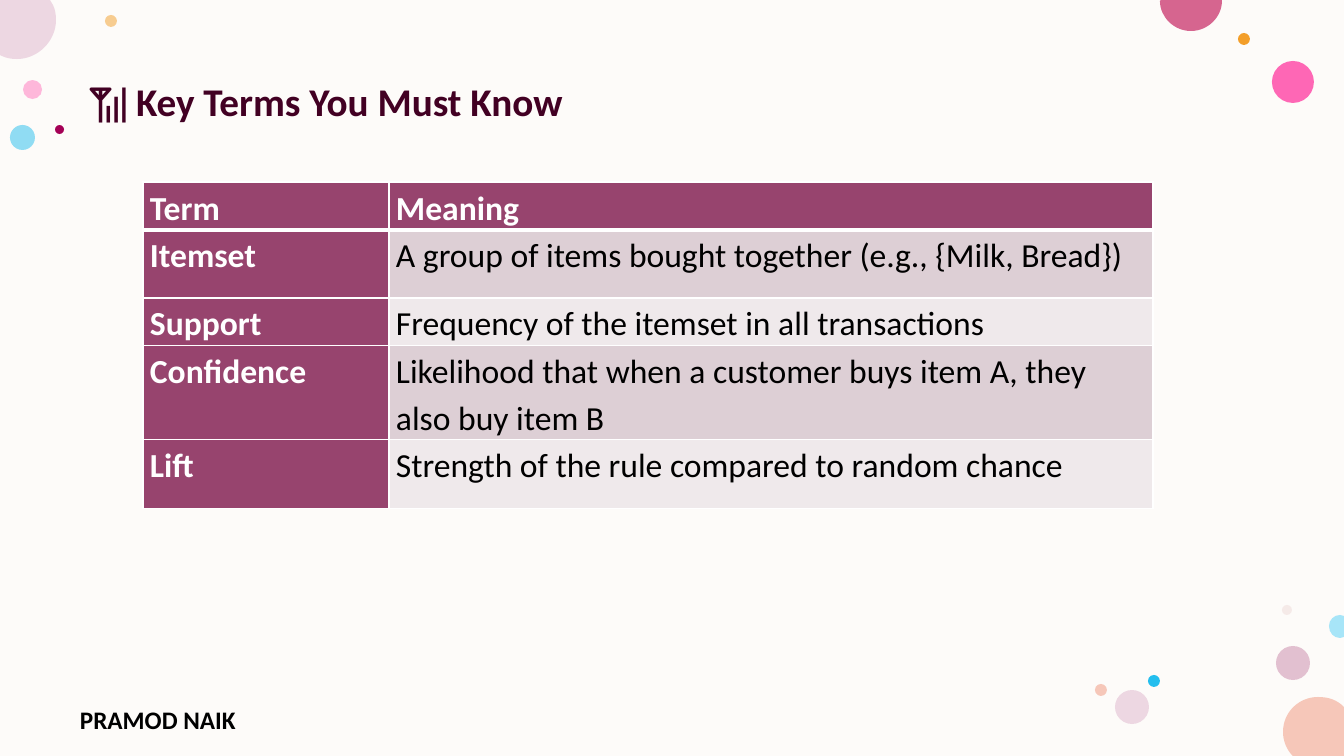
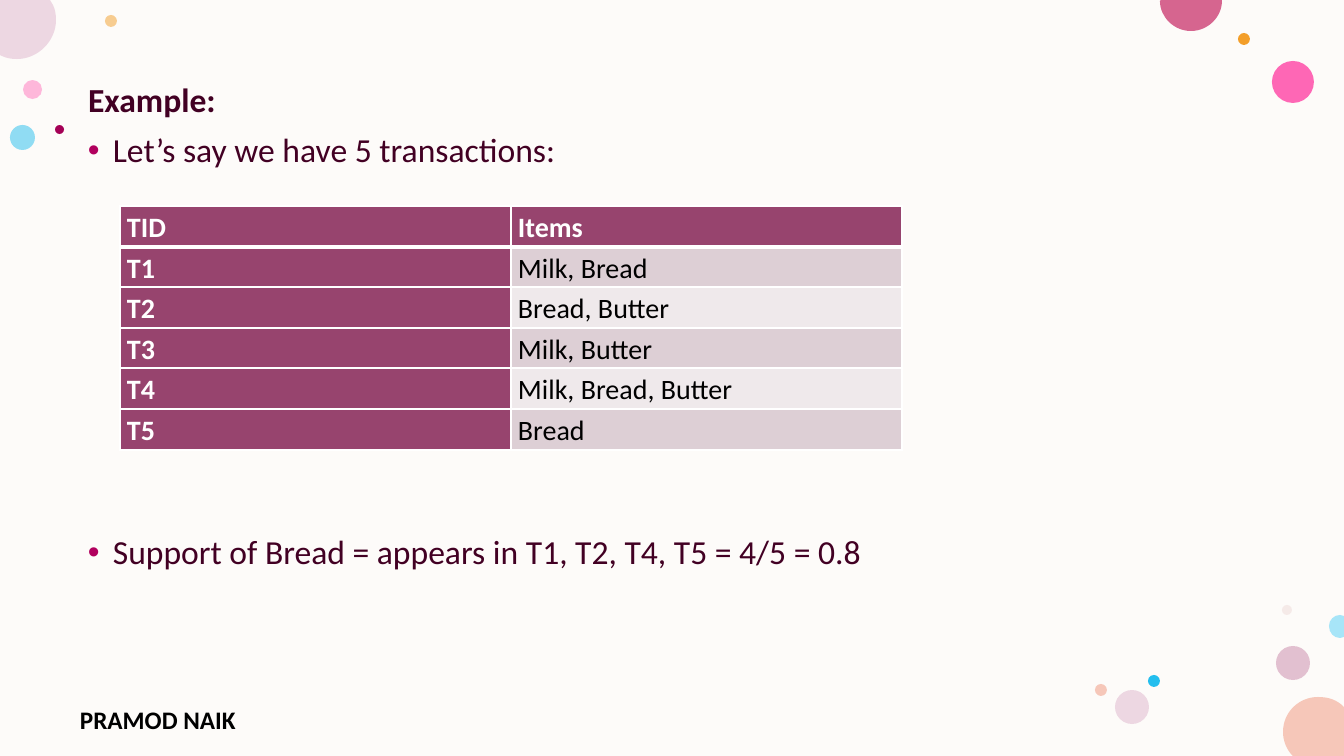
from lxml.etree import SubElement
from pptx import Presentation
from pptx.dml.color import RGBColor
from pptx.enum.shapes import MSO_SHAPE as Preset
from pptx.enum.text import MSO_ANCHOR as Anchor, MSO_AUTO_SIZE as AutoSize, PP_ALIGN as Align
from pptx.oxml.ns import qn
from pptx.util import Pt

SCALE = 914400 / 100.8
WIDTH, HEIGHT = 1344, 756
FONT = "Calibri"
BACKGROUND, WHITE, BLACK = "FDFBF9", "FFFFFF", "000000"
DARK_PLUM, PLUM, BULLET = "420023", "97446E", "B1005E"
BANDS = ["EFE9EB", "DDCFD5"]
hex_color = RGBColor.from_string

CIRCLES = [
    (23, 80, 19, "FF75BD", 50),
    (105, 15, 12, "F39E29", 50),
    (1276, 646, 34, "C987A8", 50),
    (10, 125, 25, "24BEEE", 50),
    (1272, 61, 42, "FF2F9C", 72),
    (1238, 33, 12, "F39E29", 100),
    (1282, 605, 10, "E3BEBE", 28),
    (1148, 675, 12, "24BEEE", 100),
    (1115, 690, 34, "EDD7E2", 100),
    (1095, 684, 12, "F6C7B9", 100),
    (55, 125, 9, "A40056", 100),
]
CUT_CIRCLES = [
    ("F6C7B9", (1318, 697), [
        [(1329, 697), (1337, 700), (1344, 707)],
        [(1344, 756)],
        [(1293, 756)],
        [(1291, 754)],
        [(1286, 748), (1283, 740), (1283, 732)],
        [(1283, 712), (1299, 697), (1318, 697)],
    ]),
    ("EDD7E2", (0, 0), [
        [(50, 0)],
        [(53, 5)],
        [(55, 9), (56, 14), (56, 20)],
        [(56, 41), (38, 59), (17, 59)],
        [(11, 59), (6, 58), (2, 56)],
        [(0, 55)],
    ]),
    ("D6658F", (1161, 0), [
        [(1222, 0)],
        [(1222, 1)],
        [(1222, 17), (1208, 31), (1191, 31)],
        [(1174, 31), (1160, 17), (1160, 1)],
    ]),
    ("A7E5F8", (1340, 615), [
        [(1344, 616)],
        [(1344, 637)],
        [(1340, 638)],
        [(1334, 638), (1329, 633), (1329, 626)],
        [(1329, 620), (1334, 615), (1340, 615)],
    ]),
]
CONTENT = [
    {
        "title": "📶 Key Terms You Must Know",
        "title_size": 28,
        "bullets": [],
        "table_at": (143, 182),
        "columns": [246, 764],
        "row_heights": [48, 68, 47, 94, 69],
        "table_size": 24,
        "rows": [
            ("Term", "Meaning"),
            ("Itemset", "A group of items bought together (e.g., {Milk, Bread})"),
            ("Support", "Frequency of the itemset in all transactions"),
            ("Confidence", "Likelihood that when a customer buys item A, they also buy item B"),
            ("Lift", "Strength of the rule compared to random chance"),
        ],
    },
    {
        "title": "Example:",
        "title_size": 24,
        "bullets": [
            (129, "Let’s say we have 5 transactions:"),
            (531, "Support of Bread = appears in T1, T2, T4, T5 = 4/5 = 0.8"),
        ],
        "table_at": (120, 206),
        "columns": [391, 391],
        "row_heights": [41, 40, 41, 40, 41, 41],
        "table_size": 20,
        "rows": [
            ("TID", "Items"),
            ("T1", "Milk, Bread"),
            ("T2", "Bread, Butter"),
            ("T3", "Milk, Butter"),
            ("T4", "Milk, Bread, Butter"),
            ("T5", "Bread"),
        ],
    },
]


def px(length):
    return round(length * SCALE)


def format_text(paragraph, size, color, bold, line_spacing=1.0):
    paragraph.alignment = Align.LEFT
    paragraph.line_spacing = line_spacing
    for run in paragraph.runs:
        run.font.name = FONT
        run.font.size = Pt(size)
        run.font.bold = bold
        run.font.color.rgb = hex_color(color)


presentation = Presentation()
presentation.slide_width, presentation.slide_height = px(WIDTH), px(HEIGHT)
layout = presentation.slide_layouts[5]
slides = [presentation.slides.add_slide(layout) for content in CONTENT]

shapes = slides[0].shapes
backdrop = shapes.add_shape(Preset.RECTANGLE, 0, 0, px(WIDTH), px(HEIGHT))
decorations = [(backdrop, BACKGROUND, 100)]
for left, top, size, color, opacity in CIRCLES:
    circle = shapes.add_shape(Preset.OVAL, px(left), px(top), px(size), px(size))
    decorations.append((circle, color, opacity))

for color, start, segments in CUT_CIRCLES:
    builder = shapes.build_freeform(px(start[0]), px(start[1]))
    builder.add_line_segments([(px(x), px(y)) for segment in segments for x, y in segment])
    shape = builder.convert_to_shape()
    outline = shape.element.find(".//" + qn("a:path"))
    lines = iter(outline.findall(qn("a:lnTo")))
    for segment in segments:
        line = next(lines)
        if len(segment) == 3:
            curve = SubElement(outline, qn("a:cubicBezTo"))
            for part in (line, next(lines), next(lines)):
                curve.append(part[0])
                outline.remove(part)
        else:
            outline.append(line)
    SubElement(outline, qn("a:close"))
    decorations.append((shape, color, 100))

for shape, color, opacity in decorations:
    shape.shadow.inherit = False
    shape.line.fill.background()
    shape.fill.solid()
    shape.fill.fore_color.rgb = hex_color(color)
    if opacity < 100:
        fill_color = shape.element.spPr.find(".//" + qn("a:srgbClr"))
        SubElement(fill_color, qn("a:alpha"), val=str(opacity * 1000))

footer = shapes.add_textbox(px(70), px(699), px(247), px(32))
footer.text_frame.word_wrap = True
footer.text_frame.text = "PRAMOD NAIK"
format_text(footer.text_frame.paragraphs[0], 18, BLACK, True)

shared_shapes = [shape for shape in shapes if not shape.is_placeholder]
for shape_id, shape in enumerate(shared_shapes, start=100):
    shape.element.find(".//" + qn("p:cNvPr")).set("id", str(shape_id))
    layout.shapes.element.append(shape.element)

for slide, content in zip(slides, CONTENT):
    title = slide.shapes.title
    title.left, title.top, title.width, title.height = px(78), px(78), px(1202), px(52)
    title.text_frame.text = content["title"]
    title.text_frame.word_wrap = True
    title.text_frame.auto_size = AutoSize.NONE
    title.text_frame.vertical_anchor = Anchor.TOP
    format_text(title.text_frame.paragraphs[0], content["title_size"], DARK_PLUM, True, 0.9)

    for top, text in content["bullets"]:
        statement = slide.shapes.add_textbox(px(78), px(top), px(1202), px(48))
        statement.text_frame.word_wrap = True
        statement.text_frame.text = text
        paragraph = statement.text_frame.paragraphs[0]
        format_text(paragraph, 24, DARK_PLUM, False, 0.9)
        properties = paragraph._p.get_or_add_pPr()
        properties.set("marL", str(px(25)))
        properties.set("indent", str(-px(25)))
        bullet_color = SubElement(properties, qn("a:buClr"))
        SubElement(bullet_color, qn("a:srgbClr"), val=BULLET)
        SubElement(properties, qn("a:buFont"), typeface="Arial")
        SubElement(properties, qn("a:buChar"), char="•")

    rows, columns, heights = content["rows"], content["columns"], content["row_heights"]
    left, top = content["table_at"]
    frame = slide.shapes.add_table(
        len(rows), len(columns), px(left), px(top), px(sum(columns)), px(sum(heights))
    )
    table = frame.table
    table.horz_banding = False
    for column, width in zip(table.columns, columns):
        column.width = px(width)
    for row_index, (row, height) in enumerate(zip(table.rows, heights)):
        row.height = px(height)
        for column_index, cell in enumerate(row.cells):
            heading = row_index == 0 or column_index == 0
            properties = cell._tc.get_or_add_tcPr()
            for side in ("L", "R", "T", "B"):
                thick = (row_index, side) in [(0, "B"), (1, "T")]
                border = SubElement(properties, qn(f"a:ln{side}"), w=str(Pt(3 if thick else 1)))
                border_fill = SubElement(border, qn("a:solidFill"))
                SubElement(border_fill, qn("a:srgbClr"), val=WHITE)
            cell.fill.solid()
            cell.fill.fore_color.rgb = hex_color(PLUM if heading else BANDS[row_index % 2])
            cell.margin_left = cell.margin_right = px(7)
            cell.margin_top = cell.margin_bottom = 0
            cell.text_frame.text = rows[row_index][column_index]
            paragraph = cell.text_frame.paragraphs[0]
            paragraph.space_after = Pt(8)
            format_text(paragraph, content["table_size"], WHITE if heading else BLACK, heading, 1.15)

presentation.save("out.pptx")
